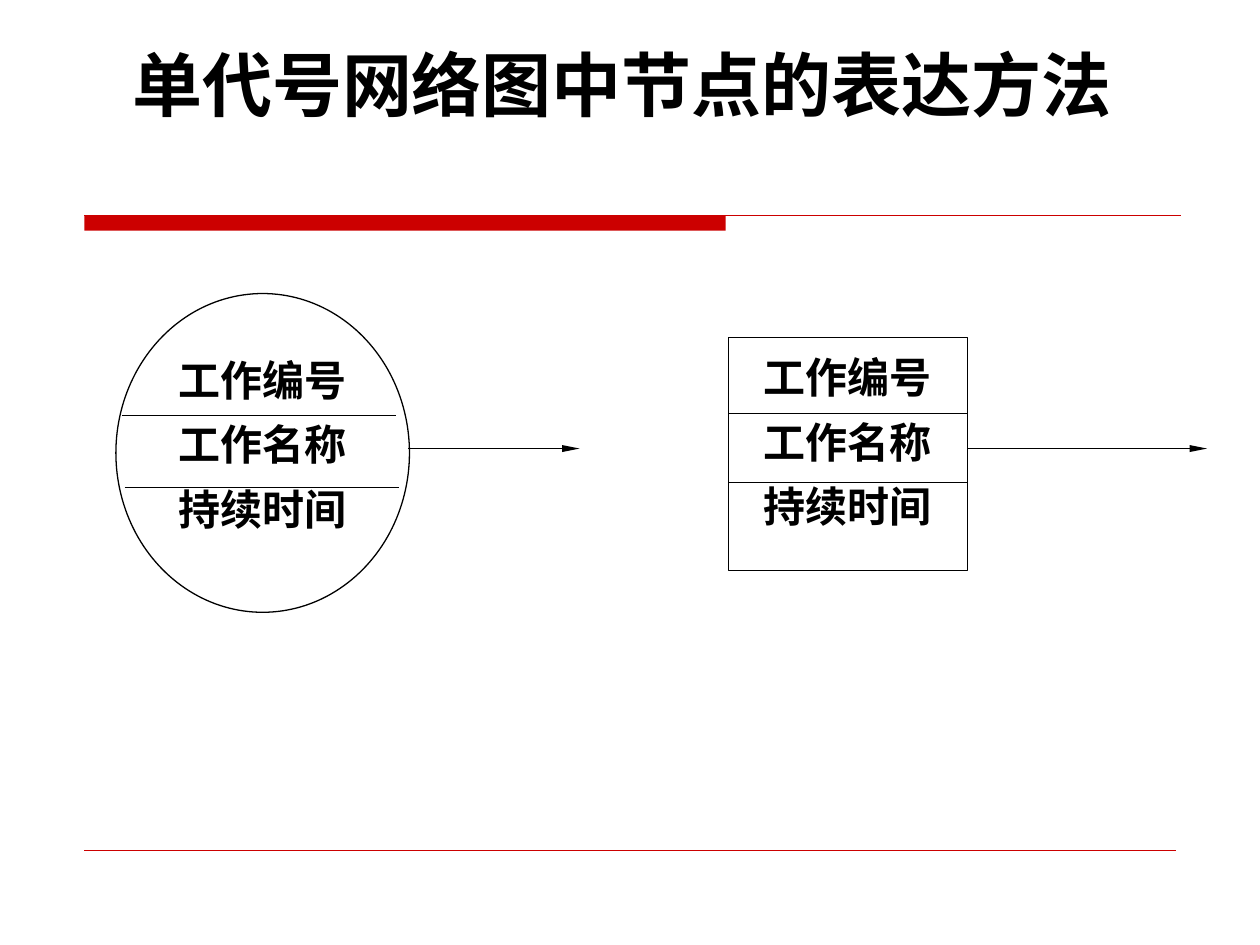
from pptx import Presentation
from pptx.dml.color import RGBColor
from pptx.enum.shapes import MSO_CONNECTOR, MSO_SHAPE
from pptx.enum.text import MSO_ANCHOR, PP_ALIGN
from pptx.oxml.ns import qn
from pptx.util import Inches, Pt
from lxml.etree import SubElement

RED = RGBColor(0xCC, 0x00, 0x00)
BLACK = RGBColor(0x00, 0x00, 0x00)
LABELS = ["工作编号", "工作名称", "持续时间"]

deck = Presentation()
deck.slide_width = Inches(10)
deck.slide_height = Inches(7.5)
slide = deck.slides.add_slide(deck.slide_layouts[6])
shapes = slide.shapes


def draw_line(left, right, y, color=BLACK, width=0.75, arrow=False):
    line = shapes.add_connector(
        MSO_CONNECTOR.STRAIGHT, Inches(left), Inches(y), Inches(right), Inches(y)
    )
    line.line.color.rgb = color
    line.line.width = Pt(width)
    props = line._element.spPr
    if arrow:
        SubElement(props.find(qn("a:ln")), qn("a:tailEnd"), type="triangle", w="sm", len="lg")
    SubElement(props, qn("a:effectLst"))


def set_frame(frame):
    frame.word_wrap = True
    frame.vertical_anchor = MSO_ANCHOR.TOP
    frame.margin_left = frame.margin_right = 0
    frame.margin_top = frame.margin_bottom = 0


bar = shapes.add_shape(
    MSO_SHAPE.RECTANGLE, Inches(0.67), Inches(1.71), Inches(5.09), Inches(0.12)
)
bar.shadow.inherit = False
bar.fill.solid()
bar.fill.fore_color.rgb = RED
bar.line.fill.background()
draw_line(0.67, 9.37, 1.71, RED)
draw_line(0.67, 9.33, 6.75, RED, 0.25)

nodes = [
    (MSO_SHAPE.OVAL, (0.92, 2.33, 2.33, 2.53), [(0.97, 3.14, 3.3), (0.99, 3.17, 3.87)], (3.24, 4.6)),
    (MSO_SHAPE.RECTANGLE, (5.78, 2.68, 1.9, 1.85), [(5.78, 7.68, 3.28), (5.78, 7.68, 3.83)], (7.68, 9.58)),
]
for kind, box, rules, (start, end) in nodes:
    node = shapes.add_shape(kind, *[Inches(n) for n in box])
    node.shadow.inherit = False
    node.fill.background()
    node.line.color.rgb = BLACK
    node.line.width = Pt(0.75)
    frame = node.text_frame
    set_frame(frame)
    frame.text = "\n".join(LABELS)
    for para in frame.paragraphs:
        para.alignment = PP_ALIGN.CENTER
        para.line_spacing = 1.28
        font = para.runs[0].font
        font.name = "Times New Roman"
        font.size = Pt(24)
        font.bold = True
        font.color.rgb = BLACK
    for left, right, y in rules:
        draw_line(left, right, y)
    draw_line(start, end, 3.56, arrow=True)

title = shapes.add_textbox(Inches(0.92), Inches(0.33), Inches(8.25), Inches(0.75))
frame = title.text_frame
set_frame(frame)
frame.text = "单代号网络图中节点的表达方法"
para = frame.paragraphs[0]
para.alignment = PP_ALIGN.JUSTIFY
para._p.get_or_add_pPr().set("marL", str(Inches(0.13)))
font = para.runs[0].font
font.name = "Noto Sans CJK SC"
font.size = Pt(40)
font.bold = True
font.color.rgb = BLACK

deck.save("out.pptx")
